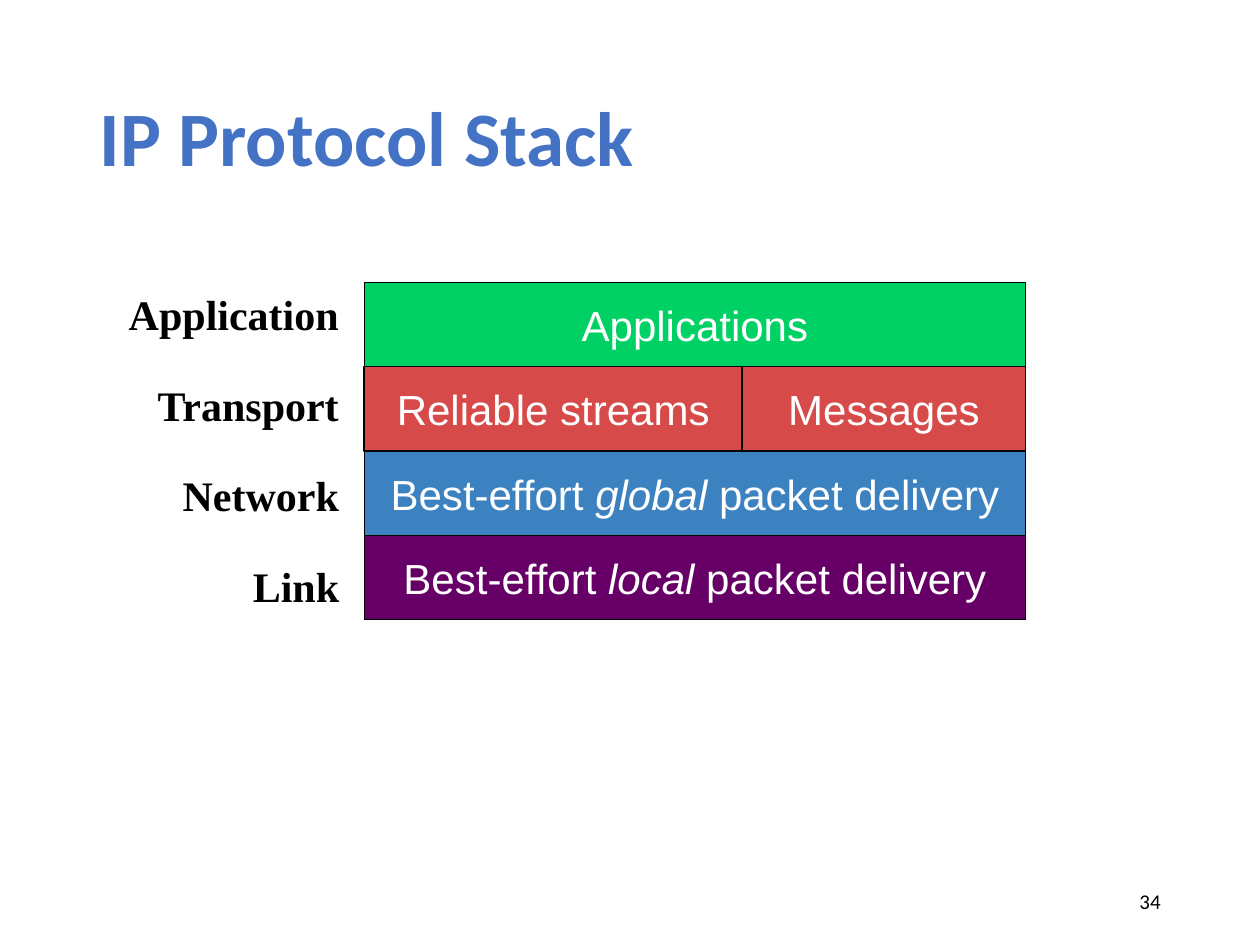
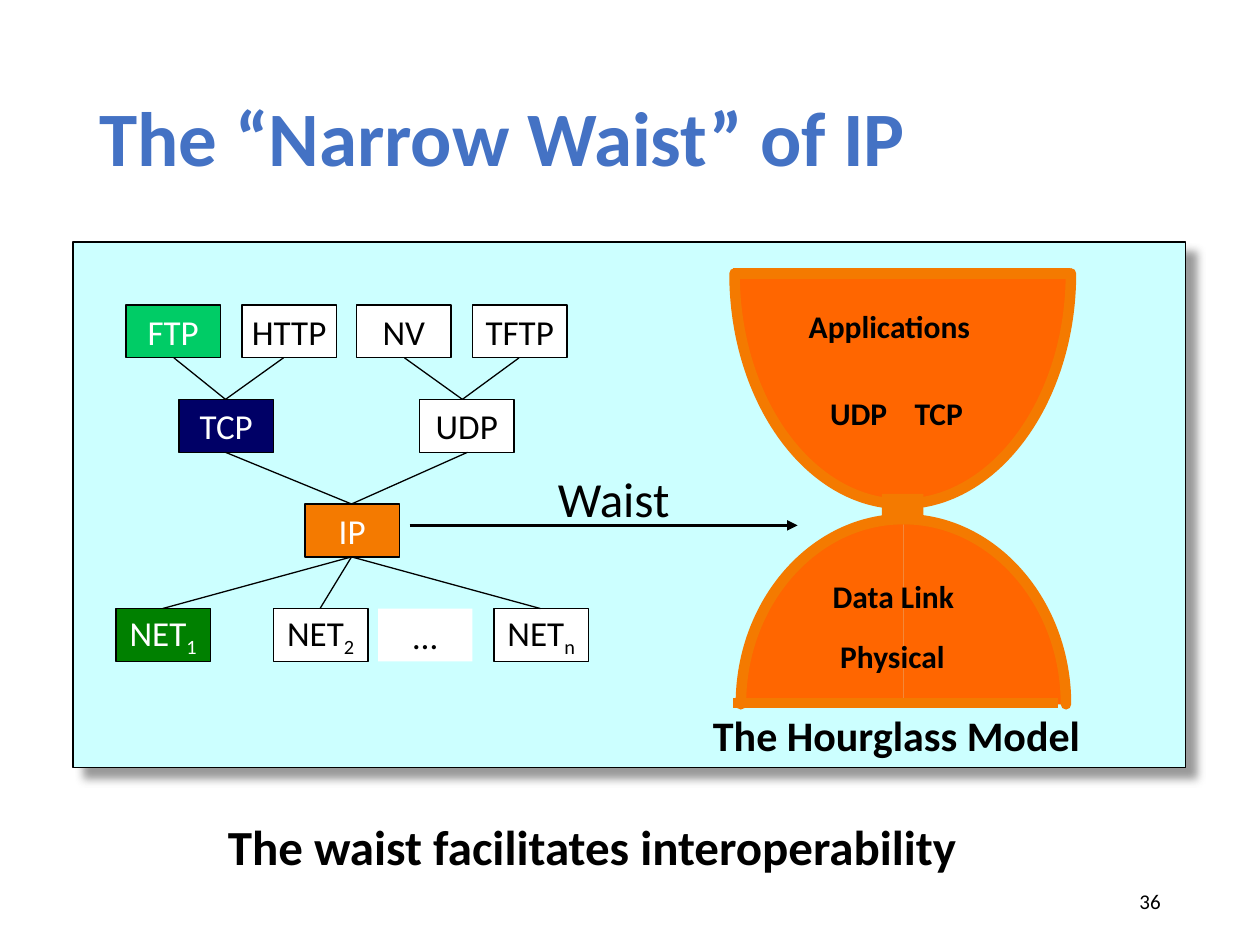
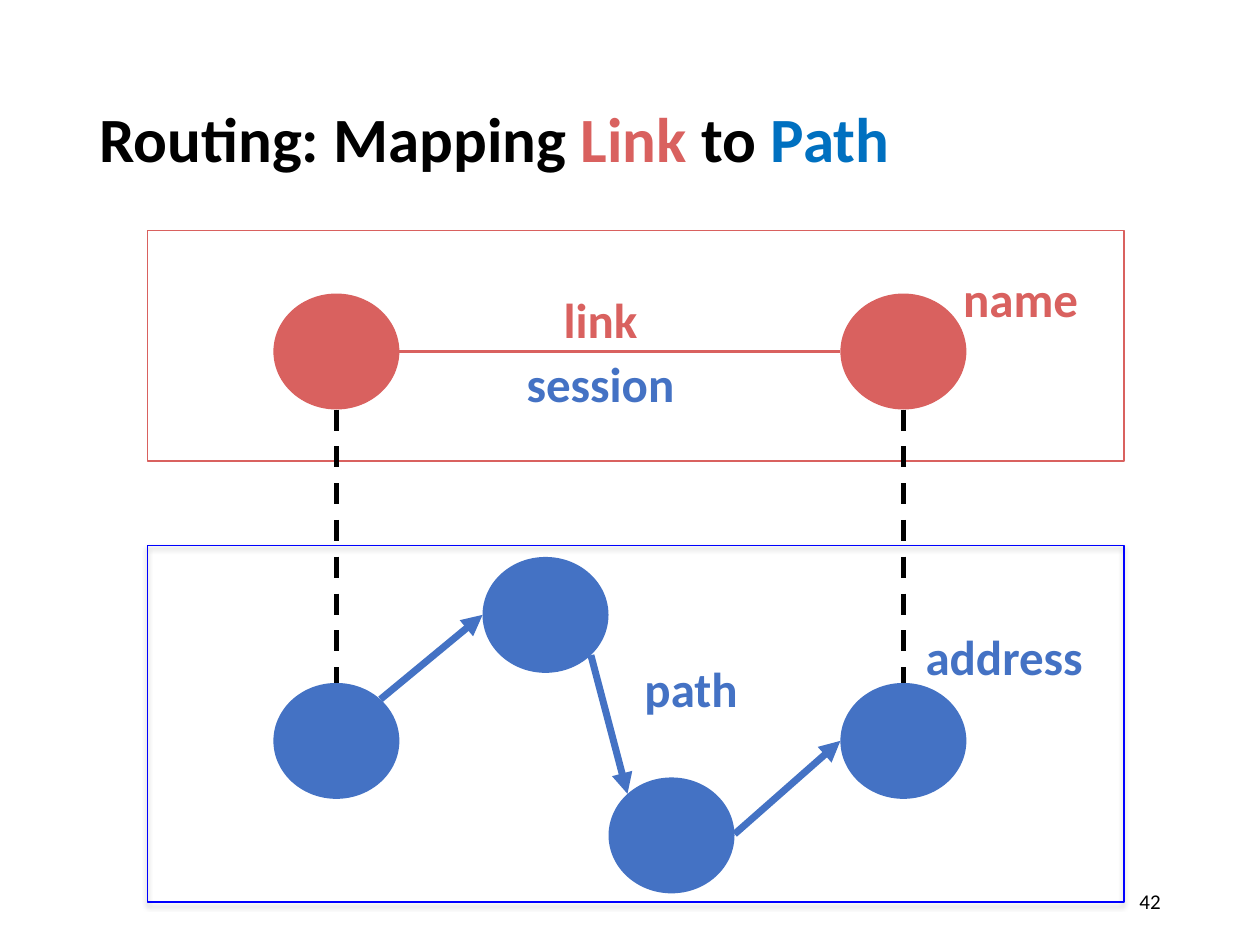
"""Build three slides on the IP stack, its narrow waist and routing."""
from copy import deepcopy
from dataclasses import dataclass, replace
from typing import NamedTuple, Optional

from lxml import etree
from pptx import Presentation
from pptx.dml.color import RGBColor
from pptx.enum import dml, shapes, text
from pptx.oxml import ns
from pptx.util import Inches, Pt

BLACK = RGBColor(0x00, 0x00, 0x00)
WHITE = RGBColor(0xFF, 0xFF, 0xFF)
BLUE = RGBColor(0x44, 0x72, 0xC4)
SKY = RGBColor(0x3C, 0x82, 0xC0)
AZURE = RGBColor(0x00, 0x70, 0xC0)
PURE = RGBColor(0x00, 0x00, 0xFF)
NAVY = RGBColor(0x00, 0x00, 0x66)
CYAN = RGBColor(0xCC, 0xFF, 0xFF)
RED = RGBColor(0xD6, 0x4A, 0x49)
ROSE = RGBColor(0xD9, 0x61, 0x5F)
PURPLE = RGBColor(0x66, 0x00, 0x66)
LIME = RGBColor(0x00, 0xD1, 0x64)
MINT = RGBColor(0x00, 0xCC, 0x66)
GREEN = RGBColor(0x00, 0x80, 0x00)
ORANGE = RGBColor(0xFF, 0x66, 0x00)
AMBER = RGBColor(0xF4, 0x7A, 0x00)
GRAY = RGBColor(0x77, 0x77, 0x77)

LEFT, MID, RIGHT = text.PP_ALIGN.LEFT, text.PP_ALIGN.CENTER, text.PP_ALIGN.RIGHT
RECT, OVAL = shapes.MSO_SHAPE.RECTANGLE, shapes.MSO_SHAPE.OVAL


class Box(NamedTuple):
    """A place on the slide, in inches."""
    x: float
    y: float
    w: float
    h: float


class Run(NamedTuple):
    """A stretch of text that may differ from its style."""
    words: str
    color: Optional[RGBColor] = None
    slant: bool = False
    sub: bool = False


class Shade(NamedTuple):
    """An outer shadow: lengths in points, angle in degrees."""
    color: RGBColor
    alpha: int
    blur: float
    dist: float
    angle: int


@dataclass(frozen=True)
class Style:
    """The look of a text."""
    size: int
    color: RGBColor = BLACK
    bold: bool = False
    face: str = "Calibri"
    align: text.PP_ALIGN = LEFT


@dataclass(frozen=True)
class Block:
    """A filled, outlined box with centred text."""
    box: Box
    runs: list
    fill: RGBColor
    style: Style
    edge: Optional[RGBColor] = BLACK


HEAD = Style(44, BLUE, True)
FOOT = Style(12, align=RIGHT)
LAYER = Style(24, WHITE, face="Arial", align=MID)
LEVEL = Style(24, bold=True, face="Times New Roman", align=MID)
NODE = Style(20, align=MID)
PART = Style(18, bold=True)
NOTE = Style(28, bold=True, align=MID)


def place(shape, box: Box) -> None:
    """Move and size a shape."""
    shape.left, shape.top, shape.width, shape.height = map(Inches, box)


def write(shape, runs: list, style: Style, anchor, wrap: bool = True) -> None:
    """Fill a shape with one paragraph, run by run."""
    frame = shape.text_frame
    frame.word_wrap = wrap
    frame.vertical_anchor = anchor
    para = frame.paragraphs[0]
    para.alignment = style.align
    for run in runs:
        item = para.add_run()
        item.text = run.words
        font = item.font
        font.size, font.name = Pt(style.size), style.face
        font.bold, font.italic = style.bold, run.slant
        font.color.rgb = run.color or style.color
    for run, props in zip(runs, shape.element.xpath(".//a:r/a:rPr")):
        if run.sub:
            props.set("baseline", "-25000")


def label(slide, box: Box, words: str, style: Style, wrap: bool = False,
          anchor=text.MSO_ANCHOR.TOP) -> None:
    """Add a plain text box."""
    write(slide.shapes.add_textbox(*map(Inches, box)), [Run(words)], style, anchor, wrap)


def form(slide, kind, box: Box, fill: Optional[RGBColor] = None,
         edge: Optional[RGBColor] = None, shade: Optional[Shade] = None):
    """Add a preset shape."""
    shape = slide.shapes.add_shape(kind, *map(Inches, box))
    shape.shadow.inherit = False
    paint(shape, fill, edge, 0.75)
    if shade:
        cast = etree.SubElement(
            shape.element.spPr.find(ns.qn("a:effectLst")), ns.qn("a:outerShdw"),
            blurRad=str(Pt(shade.blur)), dist=str(Pt(shade.dist)),
            dir=str(shade.angle * 60000), algn="ctr", rotWithShape="0")
        tint = etree.SubElement(cast, ns.qn("a:srgbClr"), val=str(shade.color))
        etree.SubElement(tint, ns.qn("a:alpha"), val=str(shade.alpha * 1000))
    return shape


def paint(shape, fill: Optional[RGBColor], edge: Optional[RGBColor], width: float) -> None:
    """Set fill and outline, or take them away."""
    if fill is None:
        shape.fill.background()
    else:
        shape.fill.solid()
        shape.fill.fore_color.rgb = fill
    if edge is None:
        shape.line.fill.background()
    else:
        shape.line.color.rgb = edge
        shape.line.width = Pt(width)


def draw(slide, block: Block) -> None:
    """Add a block with its text."""
    shape = form(slide, RECT, block.box, block.fill, block.edge)
    write(shape, block.runs, block.style, text.MSO_ANCHOR.MIDDLE, False)


def join(slide, start: tuple, end: tuple, color: RGBColor = BLACK, width: float = 0.75,
         arrow: bool = False, dash: bool = False) -> None:
    """Add a straight line."""
    line = slide.shapes.add_connector(
        shapes.MSO_CONNECTOR.STRAIGHT, *map(Inches, (*start, *end)))
    line.line.color.rgb = color
    line.line.width = Pt(width)
    if dash:
        line.line.dash_style = dml.MSO_LINE.DASH
    if arrow:
        etree.SubElement(line.element.xpath(".//a:ln")[0], ns.qn("a:tailEnd"), type="triangle")
    etree.SubElement(line.element.spPr, ns.qn("a:effectLst"))


def bulb(slide, rim: tuple, apex: tuple) -> None:
    """Add a filled quarter oval whose curve alone is outlined."""
    maker = slide.shapes.build_freeform(*map(Inches, rim))
    core = (apex[0], rim[1])
    maker.add_line_segments([tuple(map(Inches, p)) for p in (apex, core)], close=True)
    shape = maker.convert_to_shape()
    shape.shadow.inherit = False
    paint(shape, ORANGE, AMBER, 6)
    shape.element.xpath(".//a:ln")[0].set("cap", "rnd")
    body = shape.element.xpath(".//a:path")[0]
    first, last = [tuple(int(p.get(k)) for k in "xy") for p in body.xpath(".//a:pt")[:2]]
    edge = (first[0], last[1])
    bend = [tuple(round(a + 0.55 * (b - a)) for a, b in zip(p, edge)) for p in (first, last)]
    curve = etree.Element(ns.qn("a:cubicBezTo"))
    for x, y in (*bend, last):
        etree.SubElement(curve, ns.qn("a:pt"), x=str(x), y=str(y))
    body.replace(body[1], curve)
    arc = deepcopy(body)
    for item in arc[2:]:
        arc.remove(item)
    arc.set("fill", "none")
    body.set("stroke", "0")
    body.addnext(arc)


def start(deck, runs: list, page: int, style: Style = HEAD):
    """Add a slide with its title and page number."""
    slide = deck.slides.add_slide(deck.slide_layouts[5])
    title = slide.shapes.title
    place(title, Box(0.69, 0.4, 8.62, 1.45))
    write(title, runs, style, text.MSO_ANCHOR.MIDDLE)
    title.text_frame.auto_size = text.MSO_AUTO_SIZE.NONE
    title.text_frame.paragraphs[0].line_spacing = 0.9
    label(slide, Box(7.06, 6.95, 2.25, 0.4), str(page), FOOT, True, text.MSO_ANCHOR.MIDDLE)
    return slide


def stack(deck) -> None:
    """Draw the protocol stack."""
    slide = start(deck, [Run("IP Protocol Stack")], 34)
    left, top, wide, high = 2.89, 2.24, 5.25, 0.67

    def reach(word: str) -> list:
        """Give the runs of a delivery layer."""
        return [Run("Best-effort "), Run(word + " ", slant=True), Run("packet delivery")]

    for row, x, w, runs, fill in (
            (3, 0, wide, reach("local"), PURPLE),
            (2, 0, wide, reach("global"), SKY),
            (1, 0, 3, [Run("Reliable streams")], RED),
            (0, 0, wide, [Run("Applications")], LIME),
            (1, 3, 2.25, [Run("Messages")], RED)):
        draw(slide, Block(Box(left + x, top + row * high, w, high), runs, fill, LAYER))
    for row, (words, w) in enumerate((
            ("Application", 1.89), ("Transport", 1.66), ("Network", 1.46), ("Link", 0.9))):
        label(slide, Box(2.8 - w, top + row * 0.72, w, 0.51), words, LEVEL)


def glass(slide) -> None:
    """Draw the hourglass and its labels."""
    join(slide, (3.25, 4.17), (6.33, 4.17), width=2, arrow=True)
    for rim, apex in (((8.46, 5.59), (7.17, 4.12)), ((5.88, 5.59), (7.17, 4.12)),
                      ((8.5, 2.17), (7.16, 4)), ((5.83, 2.17), (7.16, 4))):
        bulb(slide, rim, apex)
    join(slide, (5.82, 2.17), (8.49, 2.17), AMBER, 6)
    join(slide, (5.82, 5.58), (8.4, 5.58), AMBER, 6)
    form(slide, RECT, Box(7, 3.92, 0.33, 0.24), AMBER)
    for x, y, w, words in (
            (6.49, 3.08, 0.66, "UDP"), (7.16, 3.08, 0.59, "TCP"),
            (6.51, 4.53, 1.18, "Data Link"), (6.57, 5.01, 1.04, "Physical"),
            (6.32, 2.39, 1.49, "Applications")):
        label(slide, Box(x, y, w, 0.4), words, PART)
    label(slide, Box(5.56, 5.58, 3.15, 0.5), "The Hourglass Model", replace(PART, size=24))
    label(slide, Box(4.33, 3.67, 1.75, 0.57), "Waist", Style(28), True)


def waist(deck) -> None:
    """Draw the narrow waist of IP."""
    slide = start(deck, [Run("The “Narrow Waist” of IP")], 36)
    form(slide, RECT, Box(0.58, 1.92, 8.83, 4.17), CYAN, BLACK, Shade(GRAY, 75, 5, 8.5, 45))
    glass(slide)
    wide, high = 0.75, 0.42
    apps, mid, core, nets = 2.42, 3.17, 4, 4.83
    for x, y, words, sub, fill in (
            (1, apps, "FTP", "", MINT), (1.92, apps, "HTTP", "", WHITE),
            (2.83, apps, "NV", "", WHITE), (3.75, apps, "TFTP", "", WHITE),
            (1.42, mid, "TCP", "", NAVY), (3.33, mid, "UDP", "", WHITE),
            (2.42, core, "IP", "", AMBER), (0.92, nets, "NET", "1", GREEN),
            (2.17, nets, "NET", "2", WHITE), (3.92, nets, "NET", "n", WHITE),
            (3, nets, "…", "", WHITE)):
        runs = [Run(words)] + ([Run(sub, sub=True)] if sub else [])
        style = NODE if fill == WHITE else replace(NODE, color=WHITE)
        edge = None if words == "…" else BLACK
        draw(slide, Block(Box(x, y, wide, high), runs, fill, style, edge))
    for x, y, to, end in (
            (1.38, apps, 1.79, mid), (2.25, apps, 1.79, mid),
            (3.21, apps, 3.67, mid), (4.12, apps, 3.67, mid),
            (1.79, mid, 2.79, core), (3.71, mid, 2.79, core),
            (2.79, core, 4.29, nets), (2.79, core, 1.29, nets), (2.79, core, 2.54, nets)):
        join(slide, (x, y + high), (to, end))
    label(slide, Box(1.71, 6.43, 6.58, 0.57), "The waist facilitates interoperability",
          replace(NOTE, align=LEFT), True)


def route(deck) -> None:
    """Draw the mapping of a link to a path."""
    runs = [Run("Routing: Mapping "), Run("Link ", ROSE), Run("to "), Run("Path", AZURE)]
    slide = start(deck, runs, 42, Style(36, bold=True))
    for x, y, fill in ((2.17, 5.42, BLUE), (6.67, 2.33, ROSE), (2.17, 2.33, ROSE),
                       (3.83, 4.42, BLUE), (6.67, 5.42, BLUE), (4.83, 6.17, BLUE)):
        form(slide, OVAL, Box(x, y, 1, 0.92), fill)
    for tail, tip in (((3.02, 5.55), (3.83, 4.88)), ((4.69, 5.2), (4.98, 6.3)),
                      ((5.83, 6.62), (6.67, 5.88))):
        join(slide, tail, tip, BLUE, 4, arrow=True)
    form(slide, RECT, Box(1.17, 1.83, 7.75, 1.83), edge=ROSE)
    form(slide, RECT, Box(1.17, 4.33, 7.75, 2.83), edge=PURE,
         shade=Shade(BLACK, 35, 3.1, 1.8, 90))
    join(slide, (3.17, 2.79), (6.67, 2.79), ROSE, 2)
    for x in (2.67, 7.17):
        join(slide, (x, 3.25), (x, 5.42), width=3, dash=True)
    for x, y, w, words, color in (
            (4.37, 2.25, 0.79, "link", ROSE), (4.07, 2.76, 1.39, "session", BLUE),
            (5, 5.18, 0.97, "path", BLUE), (7.54, 2.08, 1.12, "name", ROSE),
            (7.23, 4.92, 1.48, "address", BLUE)):
        label(slide, Box(x, y, w, 0.57), words, replace(NOTE, color=color))


def main() -> None:
    """Build and save the deck."""
    deck = Presentation()
    deck.slide_width, deck.slide_height = Inches(10), Inches(7.5)
    for build in (stack, waist, route):
        build(deck)
    deck.save("out.pptx")


main()
